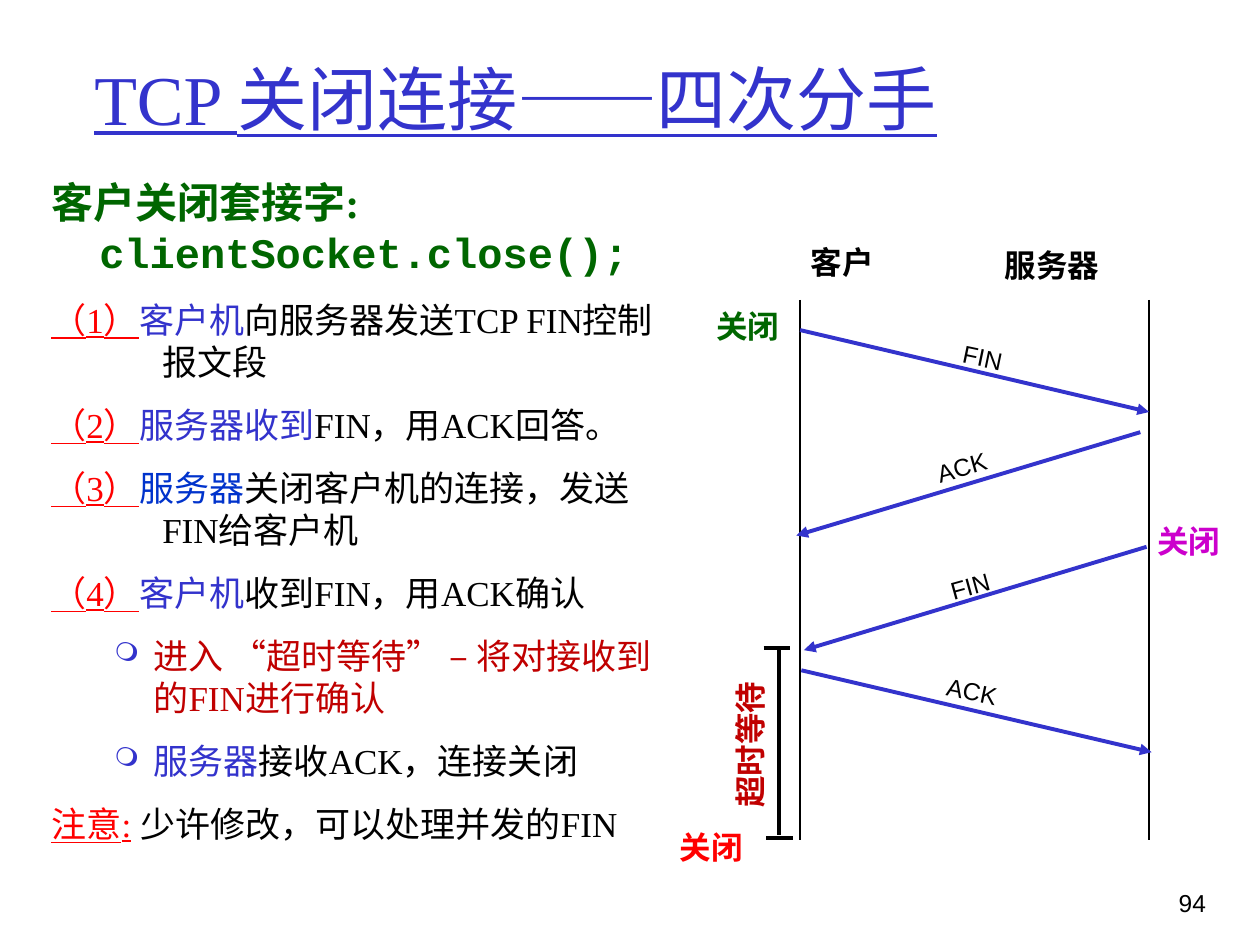
from lxml import etree
from pptx import Presentation
from pptx.dml.color import RGBColor
from pptx.enum.shapes import MSO_CONNECTOR
from pptx.enum.text import MSO_ANCHOR, PP_ALIGN
from pptx.oxml.ns import qn
from pptx.util import Inches, Pt

LINE = MSO_CONNECTOR.STRAIGHT
MIDDLE, TOP = MSO_ANCHOR.MIDDLE, MSO_ANCHOR.TOP
LEFT, CENTER, RIGHT = PP_ALIGN.LEFT, PP_ALIGN.CENTER, PP_ALIGN.RIGHT

BLUE, NAVY, GREEN, RED = "3333CC", "0033CC", "006600", "FF0000"
DARK, PINK, BLACK = "C00000", "CC00CC", "000000"
SERIF, SANS, COMIC, MONO = "Times New Roman", "Arial", "Comic Neue", "Courier New"


def color(code):
    return RGBColor.from_string(code)


class Page:
    def __init__(self, slide):
        self.slide = slide

    def style(self, font, size, code, face=SERIF, bold=False, under=False):
        font.size, font.name = Pt(size), face
        font.bold, font.underline = bold, under
        font.color.rgb = color(code)

    def frame(self, left, top, width, height, anchor=TOP, wrap=True, turn=0):
        box = self.slide.shapes.add_textbox(
            Inches(left), Inches(top), Inches(width), Inches(height))
        box.rotation = turn
        frame = box.text_frame
        frame.word_wrap, frame.vertical_anchor = wrap, anchor
        return frame

    def text(self, words, place, size, code, align=CENTER, anchor=TOP,
             wrap=False, turn=0, **look):
        frame = self.frame(*place, anchor, wrap, turn)
        frame.text = words
        para = frame.paragraphs[0]
        para.alignment = align
        self.style(para.runs[0].font, size, code, **look)

    def para(self, para, runs, size, margin, indent, space=0, mark=None):
        props = para._p.get_or_add_pPr()
        props.set("marL", str(Inches(margin)))
        props.set("indent", str(Inches(indent)))
        if space:
            para.space_before = Pt(space)
        if mark:
            tint = etree.SubElement(props, qn("a:buClr"))
            etree.SubElement(tint, qn("a:srgbClr"), val=BLUE)
            etree.SubElement(props, qn("a:buSzPct"), val="75000")
            etree.SubElement(props, qn("a:buChar"), char=mark)
        for words, code, look in runs:
            run = para.add_run()
            run.text = words
            self.style(run.font, size, code, **look)

    def line(self, x1, y1, x2, y2, code=BLACK, width=2.25, arrow=False):
        line = self.slide.shapes.add_connector(
            LINE, Inches(x1), Inches(y1), Inches(x2), Inches(y2))
        line.line.color.rgb = color(code)
        line.line.width = Pt(width)
        if arrow:
            etree.SubElement(line.line._ln, qn("a:tailEnd"), type="triangle")
        etree.SubElement(line._element.spPr, qn("a:effectLst"))


def notes(page):
    """Steps on the left side."""
    bold, under = {"bold": True}, {"under": True}
    frame = page.frame(0.31, 1.35, 5.13, 5.48)
    page.para(frame.paragraphs[0], [
        ("客户关闭套接字:", GREEN, bold),
        (" ", GREEN, {"bold": True, "under": True}),
        ("clientSocket.close();", GREEN, {"bold": True, "face": MONO}),
    ], 24, 0.38, -0.38)

    # Numbered steps
    steps = [
        ("客户机", BLUE, "向服务器发送TCP FIN控制报文段"),
        ("服务器收到", BLUE, "FIN，用ACK回答。"),
        ("服务器", NAVY, "关闭客户机的连接，发送FIN给客户机"),
        ("客户机", BLUE, "收到FIN，用ACK确认"),
    ]
    for num, (who, code, what) in enumerate(steps, 1):
        page.para(frame.add_paragraph(), [
            (f"（{num}）", RED, under), (who, code, {}), (what, BLACK, {}),
        ], 20, 0.88, -0.88, 12)

    # Bullets under the last step
    comic = {"face": COMIC}
    points = [
        [("进入 ", DARK, {}), ("“", DARK, comic), ("超时等待", DARK, {}),
         ("” –", DARK, comic), (" 将对接收到的FIN进行确认", DARK, {})],
        [("服务器", BLUE, {}), ("接收ACK，连接关闭", BLACK, {})],
    ]
    for runs in points:
        page.para(frame.add_paragraph(), runs, 20, 0.81, -0.31, 12, "❍")

    page.para(frame.add_paragraph(), [
        ("注意:", RED, under), (" 少许修改，可以处理并发的FIN", BLACK, {}),
    ], 20, 0.38, -0.38, 12)


def chart(page):
    """Message exchange on the right side."""
    # Time lines
    for x in (6.35, 9.12):
        page.line(x, 2.38, x, 6.67, width=1.5)

    # Messages with their tilted names
    messages = [
        ((6.35, 2.62, 9.12, 3.27), "FIN", (7.47, 2.67, 0.66, 0.33), 11.8),
        ((9.05, 3.43, 6.32, 4.25), "ACK", (7.25, 3.54, 0.77, 0.34), 344.6),
        ((9.1, 4.34, 6.38, 5.16), "FIN", (7.37, 4.48, 0.66, 0.34), 344.6),
        ((6.36, 5.32, 9.14, 5.97), "ACK", (7.33, 5.32, 0.77, 0.33), 11.8),
    ]
    for ends, name, place, turn in messages:
        page.line(*ends, code=BLUE, arrow=True)
        page.text(name, place, 14, BLACK, turn=turn, face=SANS)

    # Timed wait bracket
    page.line(6.18, 5.16, 6.18, 6.63)
    page.line(6.06, 5.14, 6.27, 5.14)
    page.line(6.08, 6.65, 6.29, 6.65)

    # Hosts and states
    labels = [
        ("客户", 6.33, 1.88, 0.71, BLACK, 0),
        ("服务器", 7.87, 1.9, 0.96, BLACK, 0),
        ("关闭", 5.58, 2.39, 0.71, GREEN, 0),
        ("关闭", 9.08, 4.09, 0.71, PINK, 0),
        ("关闭", 5.29, 6.52, 0.71, RED, 0),
        ("超时等待", 5.34, 5.71, 1.22, DARK, 270),
    ]
    for words, left, top, width, code, turn in labels:
        page.text(words, (left, top, width, 0.4), 18, code,
                  turn=turn, face=COMIC, bold=True)


def main():
    deck = Presentation()
    deck.slide_width, deck.slide_height = Inches(10), Inches(7.5)
    page = Page(deck.slides.add_slide(deck.slide_layouts[6]))

    # Title and page number
    page.text("TCP 关闭连接——四次分手", (0.65, 0.28, 8.5, 0.98), 40, BLUE,
              align=LEFT, anchor=MIDDLE, wrap=True, under=True)
    page.text("94", (8.93, 7, 0.74, 0.5), 14, BLACK,
              align=RIGHT, wrap=True, face=SANS)

    notes(page)
    chart(page)
    deck.save("out.pptx")


if __name__ == "__main__":
    main()
